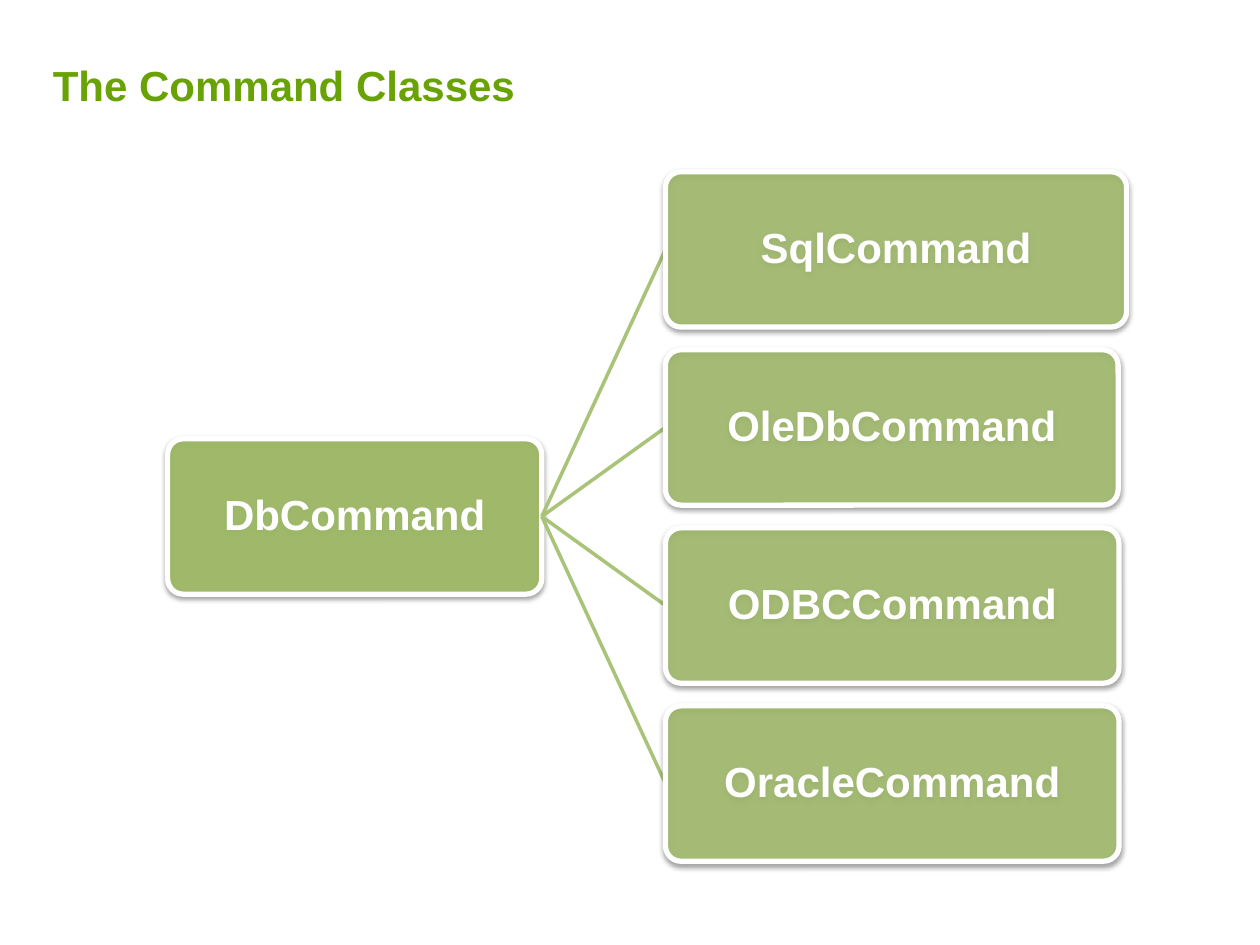
from lxml.etree import SubElement
from pptx import Presentation
from pptx.dml.color import RGBColor
from pptx.enum.shapes import MSO_CONNECTOR, MSO_SHAPE
from pptx.enum.text import MSO_ANCHOR, PP_ALIGN
from pptx.oxml import parse_xml
from pptx.oxml.ns import nsdecls, qn
from pptx.util import Pt

THEME = {
    "font": "Arial",
    "size": Pt(24),
    "title": RGBColor(0x69, 0xA2, 0x05),
    "box": RGBColor(0x9B, 0xBB, 0x59),
    "link": RGBColor(0xA9, 0xC3, 0x79),
    "white": RGBColor(0xFF, 0xFF, 0xFF),
}
SHADOW = (
    f'<a:effectLst {nsdecls("a")}><a:outerShdw blurRad="{Pt(3.1)}" dist="{Pt(1.6)}" '
    'dir="5400000" rotWithShape="0"><a:srgbClr val="000000"><a:alpha val="38000"/>'
    "</a:srgbClr></a:outerShdw></a:effectLst>"
)
BOX_HEIGHT = 88.8
BOX_PITCH = 101.75
ROOT_LEFT, ROOT_WIDTH = 95.8, 213.8
CHILD_LEFT, CHILD_TOP = 380.3, 98.1
CHILDREN = [
    ("SqlCommand", 263.5),
    ("OleDbCommand", 258.7),
    ("ODBCCommand", 259.2),
    ("OracleCommand", 259.2),
]


def write_text(shape, text, color, margins, **paragraph_format):
    """Put one bold line of text in a shape."""
    frame = shape.text_frame
    frame.word_wrap = True
    for side, margin in zip(("left", "top", "right", "bottom"), margins):
        setattr(frame, f"margin_{side}", Pt(margin))
    paragraph = frame.paragraphs[0]
    for name, value in paragraph_format.items():
        setattr(paragraph, name, value)
    run = paragraph.add_run()
    run.text = text
    run.font.color.rgb = color
    for name, value in {"name": THEME["font"], "size": THEME["size"], "bold": True}.items():
        setattr(run.font, name, value)


def add_box(text, left, top, width, opacity):
    """Add a translucent rounded box with a white outline and a soft shadow."""
    box = slide.shapes.add_shape(
        MSO_SHAPE.ROUNDED_RECTANGLE, Pt(left), Pt(top), Pt(width), Pt(BOX_HEIGHT)
    )
    box.adjustments[0] = 0.1
    box.fill.solid()
    box.fill.fore_color.rgb = THEME["box"]
    fill_color = box.fill._xPr.find(qn("a:solidFill"))[0]
    SubElement(fill_color, qn("a:alpha"), val=str(opacity * 1000))
    box.line.color.rgb = THEME["white"]
    box.line.width = Pt(3)
    box._element.spPr.append(parse_xml(SHADOW))
    write_text(box, text, THEME["white"], [4] * 4, alignment=PP_ALIGN.CENTER, line_spacing=0.9)
    box.text_frame.vertical_anchor = MSO_ANCHOR.MIDDLE
    return box


presentation = Presentation()
presentation.slide_width, presentation.slide_height = Pt(720), Pt(540)
slide = presentation.slides.add_slide(presentation.slide_layouts[5])

title = slide.shapes.title
for name, value in {"left": 30.2, "top": 25.2, "width": 658, "height": 41}.items():
    setattr(title, name, Pt(value))
write_text(title, "The Command Classes", THEME["title"], [0, 0, 0, 3.6], alignment=PP_ALIGN.LEFT)
title.text_frame.vertical_anchor = MSO_ANCHOR.BOTTOM

root_top = CHILD_TOP + BOX_PITCH * (len(CHILDREN) - 1) / 2
root = add_box("DbCommand", ROOT_LEFT, root_top, ROOT_WIDTH, 80)

for index, (class_name, width) in enumerate(CHILDREN):
    top = CHILD_TOP + index * BOX_PITCH
    # The link is added first so that it lies behind its child box.
    link = slide.shapes.add_connector(
        MSO_CONNECTOR.STRAIGHT,
        Pt(ROOT_LEFT + ROOT_WIDTH), Pt(root_top + BOX_HEIGHT / 2),
        Pt(CHILD_LEFT), Pt(top + BOX_HEIGHT / 2),
    )
    link.line.color.rgb = THEME["link"]
    link.line.width = Pt(2)
    SubElement(link._element.spPr, qn("a:effectLst"))
    child = add_box(class_name, CHILD_LEFT, top, width, 70)
    link.begin_connect(root, 3)
    link.end_connect(child, 1)

presentation.save("out.pptx")
